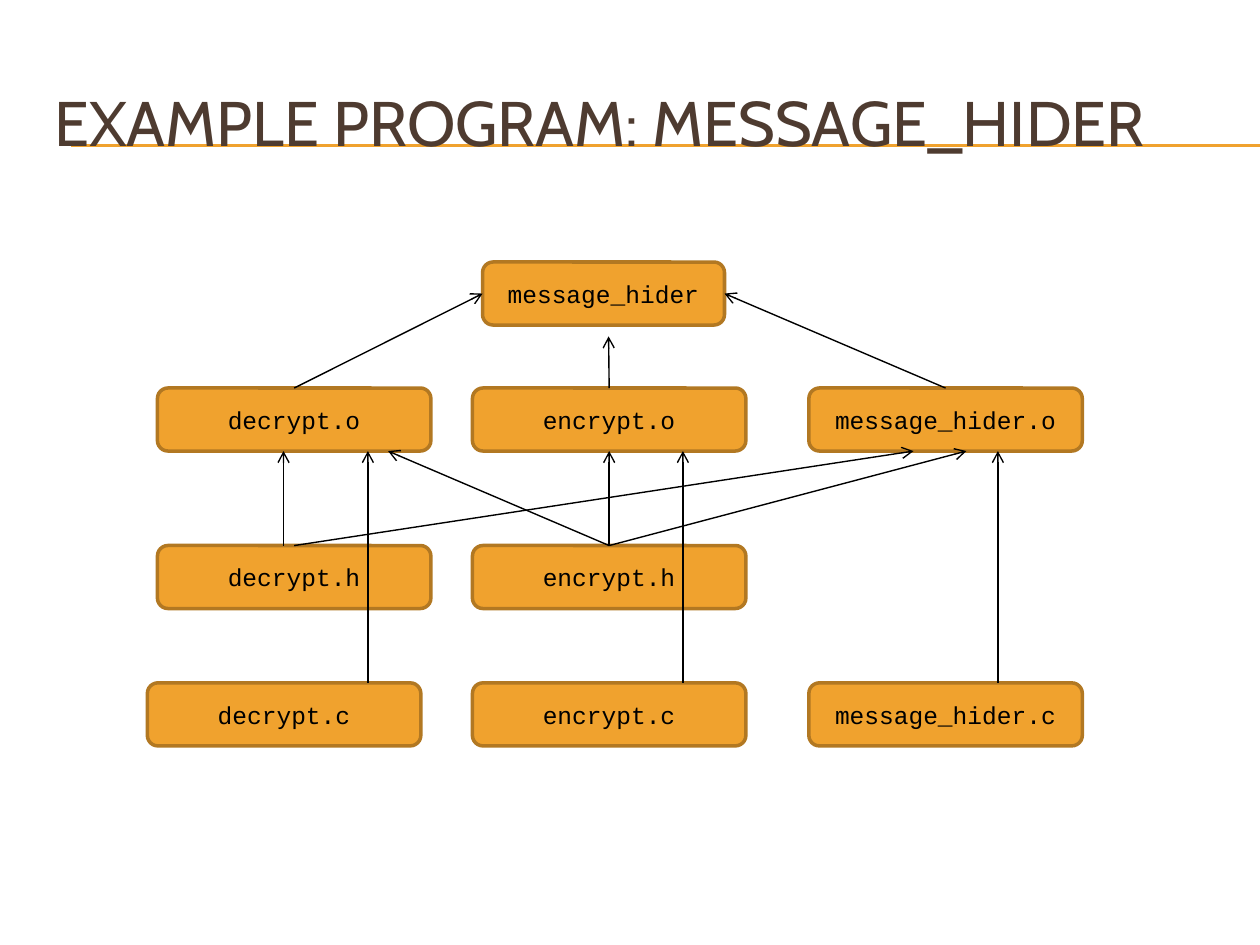
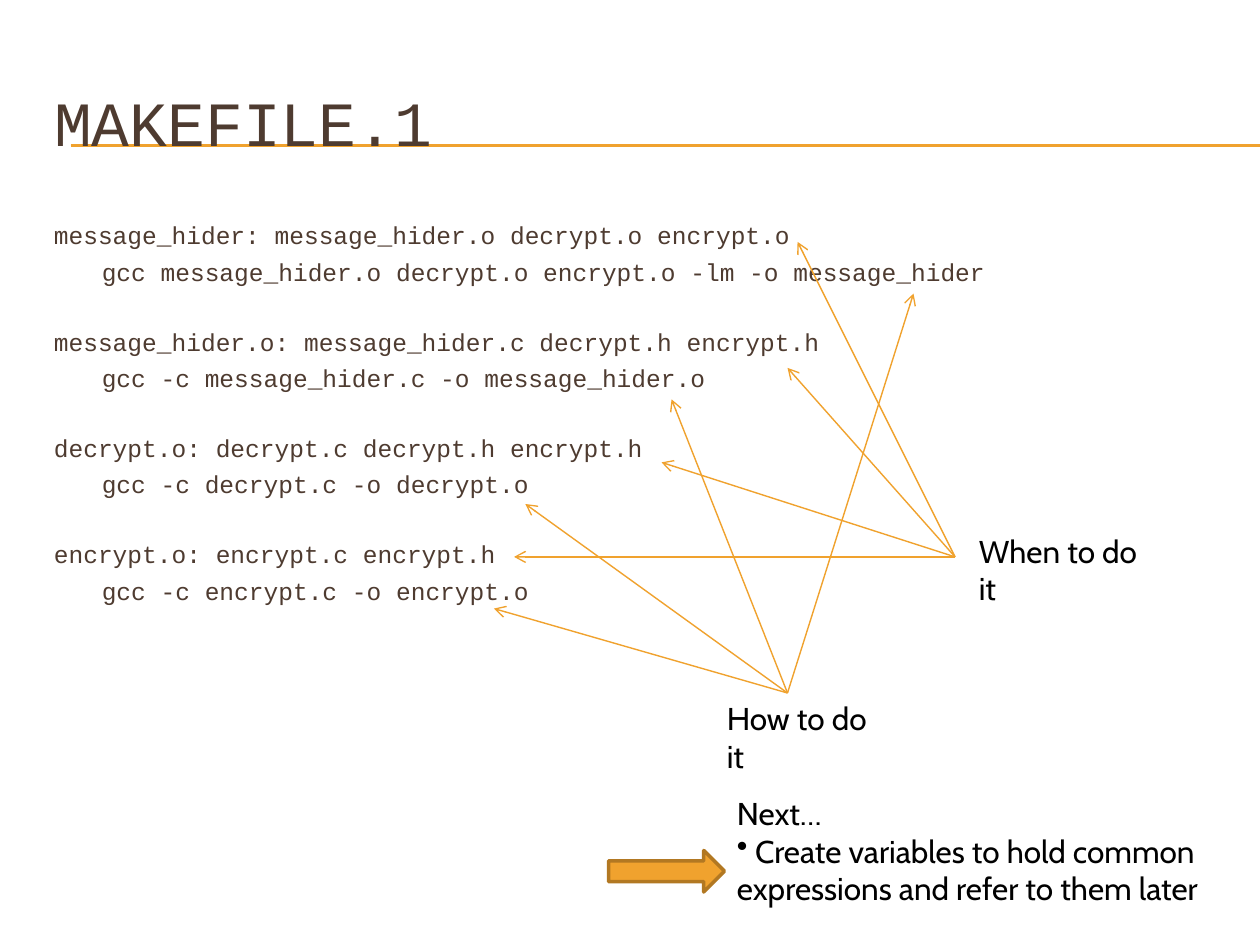
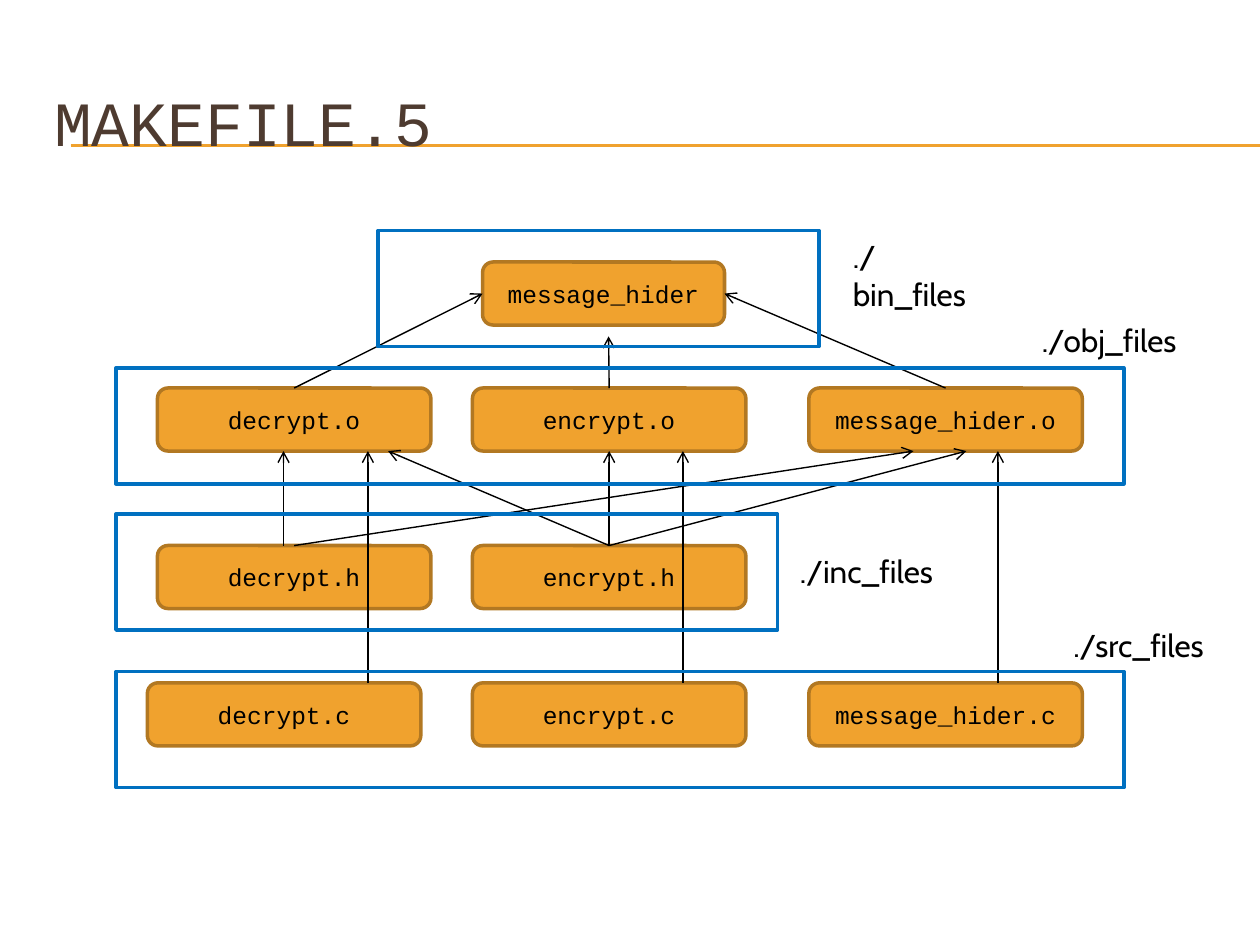
import pptx
import pptx.dml.color
import pptx.enum.shapes
import pptx.enum.text
import pptx.oxml
import pptx.oxml.ns
import pptx.util
import lxml.etree

Inches = pptx.util.Inches
Pt = pptx.util.Pt
RGBColor = pptx.dml.color.RGBColor
SHAPE = pptx.enum.shapes.MSO_SHAPE
STRAIGHT = pptx.enum.shapes.MSO_CONNECTOR.STRAIGHT
ANCHOR = pptx.enum.text.MSO_ANCHOR
ALIGN = pptx.enum.text.PP_ALIGN
qn = pptx.oxml.ns.qn

# Shared style
AMBER = RGBColor(0xF0, 0xA2, 0x2E)
BRONZE = RGBColor(0xB2, 0x78, 0x22)
BROWN = RGBColor(0x4E, 0x3B, 0x30)
BLACK = RGBColor(0, 0, 0)
BLUE = RGBColor(0x00, 0x70, 0xC0)
SANS = "Cabin"
MONO = "Courier New"
TOP, LEFT, BOTTOM, RIGHT = range(4)

# Dependency graph: file -> left, top, width
BOX_HEIGHT = 0.5
FILES = {
    "message_hider": (3.83, 2.08, 1.92),
    "message_hider.o": (6.42, 3.08, 2.17),
    "encrypt.o": (3.75, 3.08, 2.17),
    "decrypt.o": (1.25, 3.08, 2.17),
    "encrypt.h": (3.75, 4.33, 2.17),
    "encrypt.c": (3.75, 5.42, 2.17),
    "decrypt.h": (1.25, 4.33, 2.17),
    "decrypt.c": (1.17, 5.42, 2.17),
    "message_hider.c": (6.42, 5.42, 2.17),
}
# Each end is a point, or a file and the side it is joined to
DEPENDENCIES = [
    ((2.25, 4.33), (2.25, 3.58)),
    (("encrypt.h", TOP), ("encrypt.o", BOTTOM)),
    ((7.92, 5.42), (7.92, 3.58)),
    (("decrypt.o", TOP), ("message_hider", LEFT)),
    (("message_hider.o", TOP), ("message_hider", RIGHT)),
    (("encrypt.o", TOP), (4.83, 2.67)),
    ((5.42, 5.42), (5.42, 3.58)),
    ((2.92, 5.42), (2.92, 3.58)),
    (("encrypt.h", TOP), (3.08, 3.58)),
    (("decrypt.h", TOP), (7.25, 3.58)),
    (("encrypt.h", TOP), (7.67, 3.58)),
]

# Makefile rules: target line and command
RULES = [
    ("message_hider: message_hider.o decrypt.o encrypt.o",
     "gcc message_hider.o decrypt.o encrypt.o -lm -o message_hider"),
    ("message_hider.o: message_hider.c decrypt.h encrypt.h",
     "gcc -c message_hider.c -o message_hider.o"),
    ("decrypt.o: decrypt.c decrypt.h encrypt.h",
     "gcc -c decrypt.c -o decrypt.o"),
    ("encrypt.o: encrypt.c encrypt.h",
     "gcc -c encrypt.c -o encrypt.o"),
]
WHEN_START = (7.58, 4.42)
WHEN_ENDS = [(6.33, 1.92), (6.25, 2.92), (5.25, 3.67), (4.08, 4.42)]
HOW_START = (6.25, 5.5)
HOW_ENDS = [(7.25, 2.33), (5.33, 3.17), (4.17, 4), (3.92, 4.83)]

# Folders: frame and label places
FOLDER_HEIGHT = 0.92
FOLDERS = [
    ("./bin_files", (3, 1.83, 3.5), (6.67, 1.83, 1.2)),
    ("./obj_files", (0.92, 2.92, 8), (8.17, 2.5, 1.35)),
    ("./inc_files", (0.92, 4.08, 5.25), (6.25, 4.33, 1.35)),
    ("./src_files", (0.92, 5.33, 8), (8.42, 4.92, 1.35)),
]


class Deck:
    def __init__(self):
        self.presentation = pptx.Presentation()
        self.presentation.slide_width = Inches(10)
        self.presentation.slide_height = Inches(7.5)
        self.slide = None

    def add_slide(self, heading, font):
        layout = self.presentation.slide_layouts[5]
        self.slide = self.presentation.slides.add_slide(layout)
        for y in (1.15, 1.16):
            self.line((0.56, y), (10, y), AMBER, 0.75)
        title = self.slide.shapes.title
        title.left, title.top = Inches(0.33), Inches(0.5)
        title.width, title.height = Inches(9.5), Inches(0.92)
        frame = title.text_frame
        frame.text = heading
        frame.word_wrap = True
        frame.auto_size = pptx.enum.text.MSO_AUTO_SIZE.NONE
        frame.vertical_anchor = ANCHOR.MIDDLE
        self.format(frame, font, 36, BROWN, ALIGN.LEFT)
        title.element.getparent().append(title.element)  # in front of the rules

    def format(self, frame, font, size, color, align=ALIGN.LEFT):
        for paragraph in frame.paragraphs:
            paragraph.alignment = align
            for run in paragraph.runs:
                run.font.name = font
                run.font.size = Pt(size)
                run.font.color.rgb = color

    def shape(self, kind, left, top, width, height, fill=AMBER, outline=BRONZE):
        shape = self.slide.shapes.add_shape(
            kind, Inches(left), Inches(top), Inches(width), Inches(height))
        shape.shadow.inherit = False
        if fill is None:
            shape.fill.background()
        else:
            shape.fill.solid()
            shape.fill.fore_color.rgb = fill
        shape.line.color.rgb = outline
        shape.line.width = Pt(2)
        return shape

    def file_box(self, name, left, top, width):
        box = self.shape(SHAPE.ROUNDED_RECTANGLE, left, top, width, BOX_HEIGHT)
        box.text_frame.text = name
        box.text_frame.vertical_anchor = ANCHOR.MIDDLE
        self.format(box.text_frame, MONO, 14, BLACK, ALIGN.CENTER)
        return box

    def text(self, paragraphs, left, top, width, height=0.4,
             font=SANS, size=18, color=BLACK):
        box = self.slide.shapes.add_textbox(
            Inches(left), Inches(top), Inches(width), Inches(height))
        frame = box.text_frame
        frame.word_wrap = True
        frame.text = paragraphs[0]
        for words in paragraphs[1:]:
            frame.add_paragraph().text = words
        self.format(frame, font, size, color)
        return frame

    def line(self, start, end, color, width):
        line = self.slide.shapes.add_connector(
            STRAIGHT, *(Inches(value) for value in (*start, *end)))
        line.line.color.rgb = color
        line.line.width = Pt(width)
        lxml.etree.SubElement(line.element.spPr, qn("a:effectLst"))
        return line

    def arrow(self, start, end, color):
        arrow = self.line(start, end, color, 0.79)
        outline = arrow.element.spPr.find(qn("a:ln"))
        lxml.etree.SubElement(outline, qn("a:tailEnd"), type="arrow")
        return arrow

    def dependency_graph(self):
        boxes = {name: self.file_box(name, *place) for name, place in FILES.items()}
        for start, end in DEPENDENCIES:
            points = [(0, 0) if point[0] in boxes else point for point in (start, end)]
            arrow = self.arrow(*points, BLACK)
            if start[0] in boxes:
                arrow.begin_connect(boxes[start[0]], start[1])
            if end[0] in boxes:
                arrow.end_connect(boxes[end[0]], end[1])


def build_program(deck):
    deck.add_slide("EXAMPLE PROGRAM: MESSAGE_HIDER", SANS)
    deck.dependency_graph()


def build_makefile(deck):
    deck.add_slide("MAKEFILE.1", MONO)

    # Rules with tabbed commands
    lines = [line for target, command in RULES for line in (target, "\t" + command)]
    listing = deck.text(lines, 0.33, 1.7, 9.5, 4.95, MONO, 14, BROWN)
    for index, paragraph in enumerate(listing.paragraphs):
        if index:
            paragraph.space_before = Pt(4.1 if index % 2 else 23)
        properties = paragraph._p.get_or_add_pPr()
        properties.set("marL", str(Inches(0.38)))
        properties.set("indent", str(-Inches(0.38)))

    # Explanations
    deck.text(["When to do it"], 7.67, 4.17, 1.55)
    deck.text(["How to do it"], 5.67, 5.5, 1.4)
    for start, ends in ((WHEN_START, WHEN_ENDS), (HOW_START, HOW_ENDS)):
        for end in ends:
            deck.arrow(start, end, AMBER)

    # Next step
    deck.shape(SHAPE.RIGHT_ARROW, 4.83, 6.75, 0.92, 0.33)
    next_step = deck.text(
        ["Next…", " Create variables to hold common\nexpressions and refer to them later"],
        5.75, 6.25, 4, 1.01)
    properties = next_step.paragraphs[1]._p.get_or_add_pPr()
    lxml.etree.SubElement(properties, qn("a:buChar"), char="•")


def build_folders(deck):
    deck.add_slide("MAKEFILE.5", MONO)
    deck.dependency_graph()
    for folder, (left, top, width), label_place in FOLDERS:
        deck.shape(SHAPE.RECTANGLE, left, top, width, FOLDER_HEIGHT, None, BLUE)
        deck.text([folder], *label_place)


def main():
    deck = Deck()
    build_program(deck)
    build_makefile(deck)
    build_folders(deck)
    deck.presentation.save("out.pptx")


if __name__ == "__main__":
    main()
